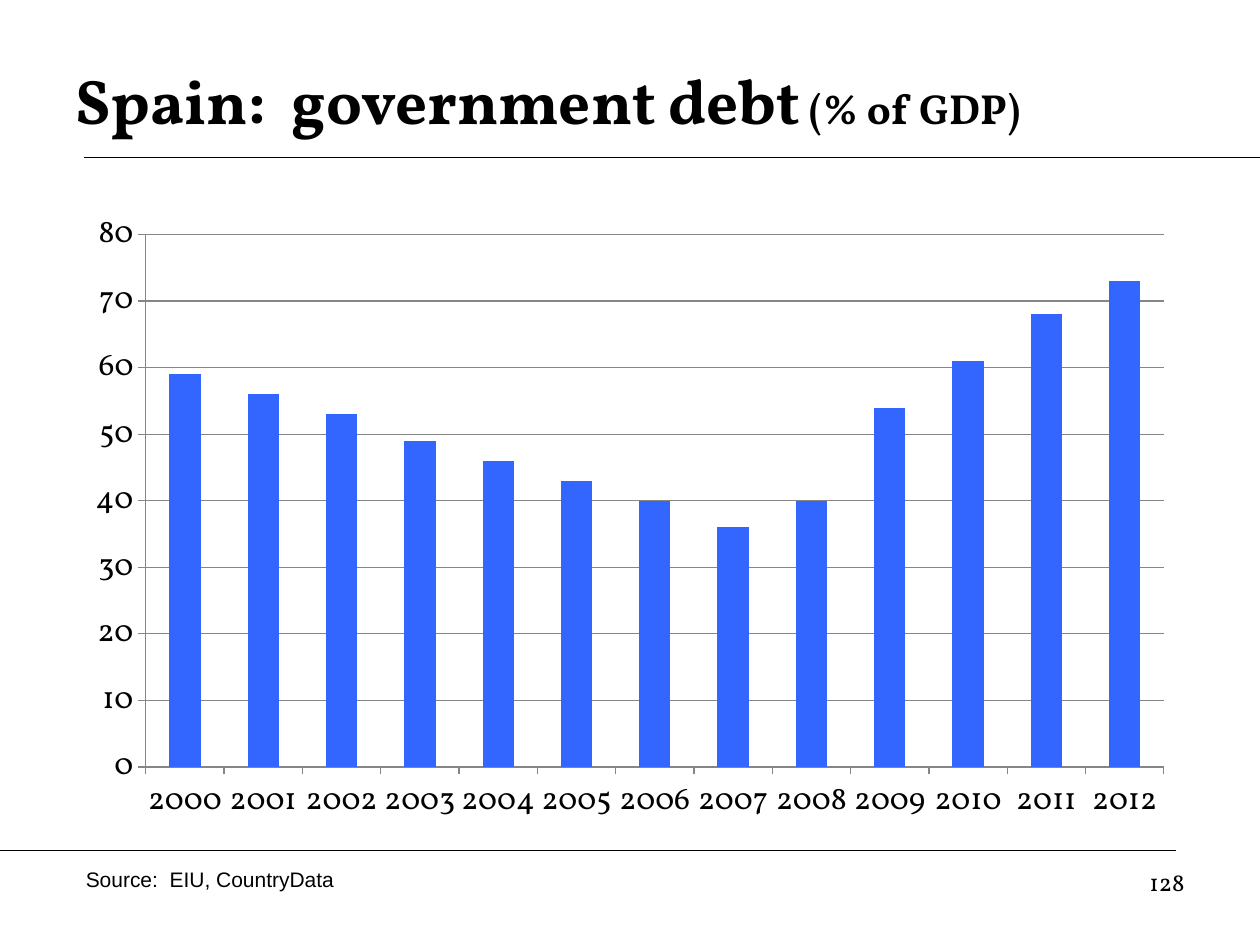
from pptx import Presentation
from pptx.chart.data import CategoryChartData
from pptx.dml.color import RGBColor
from pptx.enum.chart import XL_CHART_TYPE, XL_TICK_MARK
from pptx.enum.shapes import MSO_CONNECTOR
from pptx.enum.text import MSO_ANCHOR, PP_ALIGN
from pptx.oxml import parse_xml
from pptx.oxml.ns import nsdecls
from pptx.util import Cm, Pt

INK = {"text": "000000", "bar": "3366FF", "grid": "868686"}
SERIF, SANS = "Vollkorn", "Arial"
WIDE, HIGH = 25.4, 19.05
DEBT = [59, 56, 53, 49, 46, 43, 40, 36, 40, 54, 61, 68, 73]
START = 2000


def hue(name):
    return RGBColor.from_string(INK[name])


def style(font, size, face=SERIF):
    font.size, font.name = Pt(size), face
    font.color.rgb = hue("text")


def add_rule(slide, left, right, top):
    rule = slide.shapes.add_connector(
        MSO_CONNECTOR.STRAIGHT, Cm(left), Cm(top), Cm(right), Cm(top))
    rule.line.color.rgb = hue("text")
    rule.line.width = Pt(0.75)
    rule._element.spPr.append(parse_xml(f"<a:effectLst {nsdecls('a')}/>"))


def add_box(slide, box):
    """Add a wrapping text box and return its frame."""
    frame = slide.shapes.add_textbox(*map(Cm, box)).text_frame
    frame.word_wrap = True
    return frame


def add_title(slide, box):
    left, top, _, high = box
    frame = add_box(slide, box)
    frame.vertical_anchor = MSO_ANCHOR.MIDDLE
    para = frame.paragraphs[0]
    style(para.font, 36)
    para.font.bold = True
    para.add_run().text = "Spain:  government debt"
    unit = para.add_run()
    unit.text = " (% of GDP)"
    unit.font.size = Pt(24)
    add_rule(slide, left + 0.43, WIDE, top + high)


def add_chart(slide, box):
    data = CategoryChartData()
    data.categories = [str(START + i) for i in range(len(DEBT))]
    data.add_series("Debt", DEBT)
    chart = slide.shapes.add_chart(
        XL_CHART_TYPE.COLUMN_CLUSTERED, *map(Cm, box), data).chart
    chart.has_legend = chart.has_title = False
    style(chart.font, 18)

    plot = chart.plots[0]
    plot.gap_width = 150
    plot.vary_by_categories = False
    fill = plot.series[0].format.fill
    fill.solid()
    fill.fore_color.rgb = hue("bar")

    scale = chart.value_axis
    scale.minimum_scale, scale.maximum_scale, scale.major_unit = 0, 80, 10
    scale.has_major_gridlines = True
    for axis in (scale, chart.category_axis):
        axis.major_tick_mark = XL_TICK_MARK.OUTSIDE
        axis.minor_tick_mark = XL_TICK_MARK.NONE
    for part in (scale, chart.category_axis, scale.major_gridlines):
        part.format.line.color.rgb = hue("grid")
        part.format.line.width = Pt(0.75)


def add_foot(slide, box):
    left, top, wide, high = box
    add_rule(slide, 0, left + wide - 0.43, top - 0.2)
    source = add_box(slide, (left, top, 12.27, 0.76)).paragraphs[0]
    source.text = "Source:  EIU, CountryData"
    style(source.font, 12, SANS)
    page = add_box(slide, (left + wide - 5.92, top, 5.92, high)).paragraphs[0]
    page.text = "128"
    page.alignment = PP_ALIGN.RIGHT
    style(page.font, 14)


def main():
    deck = Presentation()
    deck.slide_width, deck.slide_height = Cm(WIDE), Cm(HIGH)
    slide = deck.slides.add_slide(deck.slide_layouts[6])
    add_title(slide, (1.27, 0.84, 22.86, 2.34))
    add_chart(slide, (1.48, 4.02, 22.43, 12.85))
    add_foot(slide, (1.48, 17.35, 22.65, 1.32))
    deck.save("out.pptx")


if __name__ == "__main__":
    main()
